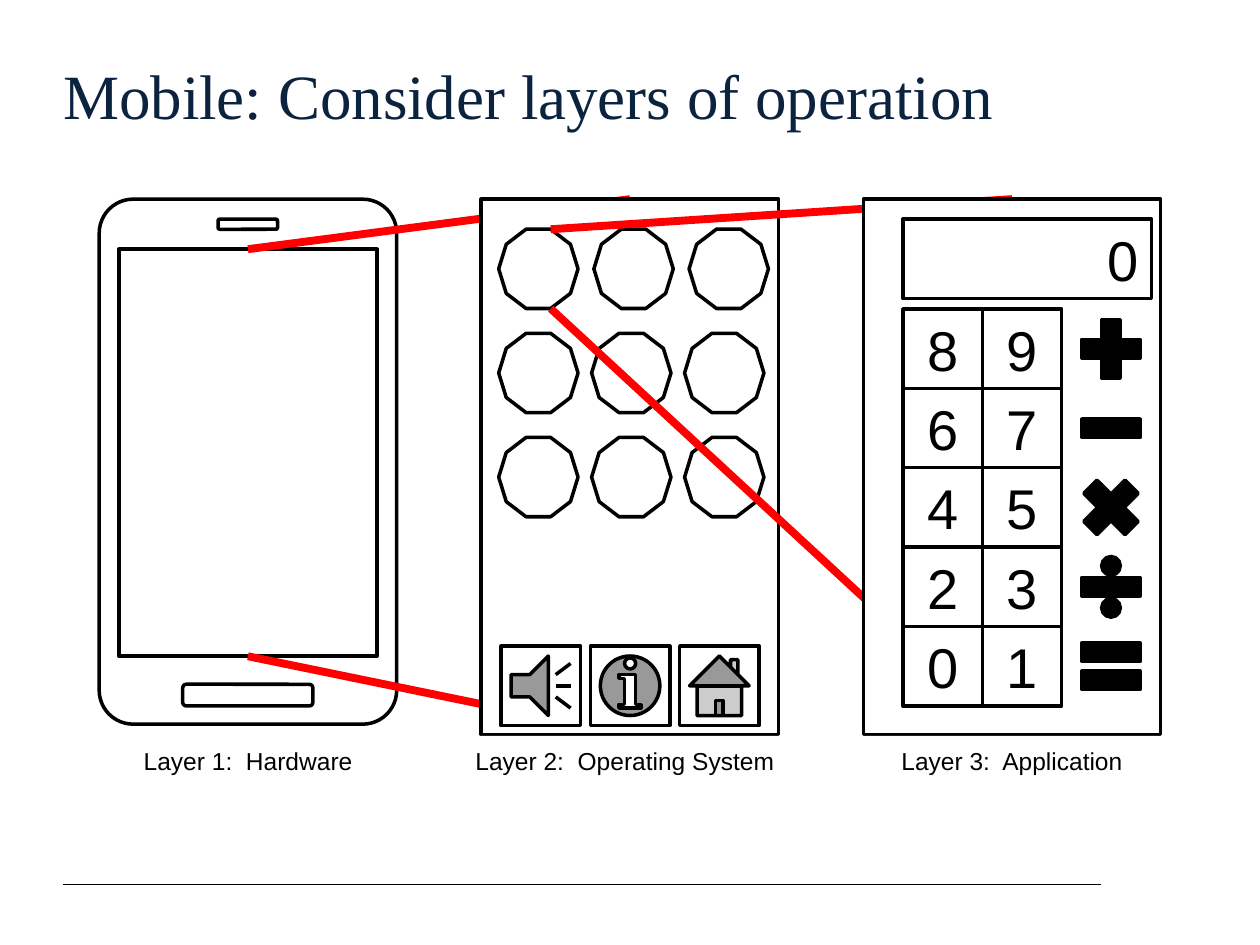
from lxml.etree import SubElement
from pptx import Presentation
from pptx.dml.color import RGBColor
from pptx.enum.shapes import MSO_CONNECTOR, MSO_SHAPE
from pptx.enum.text import MSO_ANCHOR, MSO_AUTO_SIZE, PP_ALIGN
from pptx.oxml.ns import qn
from pptx.util import Pt

COLORS = {"ink": "000000", "paper": "FFFFFF", "zoom": "FF0000", "title": "0C2340"}
CELL = 45.36  # side of an icon, a key and an operator
PANEL_TOP, PANEL_WIDTH, PANEL_HEIGHT = 113.8, 170, 306
OS_LEFT, APP_LEFT = 275, 493.3
CAPTION_TOP = 420.5


def rgb(name):
    return RGBColor.from_string(COLORS[name])


def add_box(shapes, kind, left, top, width, height, fill="paper", outlined=True):
    box = shapes.add_shape(kind, Pt(left), Pt(top), Pt(width), Pt(height))
    box.shadow.inherit = False
    if fill:
        box.fill.solid()
        box.fill.fore_color.rgb = rgb(fill)
    else:
        box.fill.background()
    if outlined:
        box.line.color.rgb = rgb("ink")
        box.line.width = Pt(2)
    else:
        box.line.fill.background()
    return box


def write(box, text, size, align=PP_ALIGN.CENTER):
    box.text_frame.vertical_anchor = MSO_ANCHOR.MIDDLE
    paragraph = box.text_frame.paragraphs[0]
    paragraph.text = text
    paragraph.alignment = align
    paragraph.font.name = "Arial"
    paragraph.font.size = Pt(size)
    paragraph.font.color.rgb = rgb("ink")


def add_caption(shapes, left, text):
    caption = add_box(shapes, MSO_SHAPE.RECTANGLE, left, CAPTION_TOP, 193, 28,
                      outlined=False)
    write(caption, text, 14)


def add_line(shapes, start, end, color, weight):
    line = shapes.add_connector(MSO_CONNECTOR.STRAIGHT, *map(Pt, start + end))
    line.line.color.rgb = rgb(color)
    line.line.width = Pt(weight)
    SubElement(line._element.spPr, qn("a:effectLst"))
    return line


def add_zoom_lines(shapes, x, top, bottom, panel_left):
    """Red lines from a source area to the top and bottom of a panel."""
    panel_center = panel_left + PANEL_WIDTH / 2
    panel_bottom = PANEL_TOP + PANEL_HEIGHT
    return [add_line(shapes, (x, y), (panel_center, panel_y), "zoom", 4.5)
            for y, panel_y in ((top, PANEL_TOP), (bottom, panel_bottom))]


def join_to_panel(zoom_lines, panel):
    for line, side in zip(zoom_lines, (0, 2)):
        line.end_connect(panel, side)


def add_panel(shapes, left):
    return add_box(shapes, MSO_SHAPE.RECTANGLE, left, PANEL_TOP,
                   PANEL_WIDTH, PANEL_HEIGHT)


def add_title(slide, text):
    title = slide.shapes.title
    title.left, title.top, title.width, title.height = map(Pt, (36, 32.4, 573, 67))
    frame = title.text_frame
    frame.auto_size = MSO_AUTO_SIZE.NONE
    frame.vertical_anchor = MSO_ANCHOR.TOP
    frame.margin_left = frame.margin_top = 0
    paragraph = frame.paragraphs[0]
    paragraph.text = text
    paragraph.alignment = PP_ALIGN.LEFT
    paragraph.font.name = "Times New Roman"
    paragraph.font.size = Pt(36)
    paragraph.font.color.rgb = rgb("title")


def add_hardware(shapes):
    rounded = MSO_SHAPE.ROUNDED_RECTANGLE
    body = add_box(shapes, rounded, 56.7, PANEL_TOP, PANEL_WIDTH, 300, fill=None)
    body.adjustments[0] = 0.114
    screen = add_box(shapes, MSO_SHAPE.RECTANGLE, 67.9, 142.4, 147.6, 232.6)
    add_box(shapes, rounded, 124.6, 125.2, 34, 5.8)  # speaker
    add_box(shapes, rounded, 104.4, 391, 74.4, 12.4)  # button
    add_caption(shapes, 45.3, "Layer 1:  Hardware")
    return screen


def add_operating_system(shapes):
    panel = add_panel(shapes, OS_LEFT)

    # App icons, the first row spaced a little wider
    for row, pitch in enumerate((54.4, 53.1, 53.1)):
        for column in range(3):
            add_box(shapes, MSO_SHAPE.DECAGON, 285 + column * pitch,
                    131 + row * 59.5, CELL, CELL)

    # System buttons
    buttons = (MSO_SHAPE.ACTION_BUTTON_SOUND, MSO_SHAPE.ACTION_BUTTON_INFORMATION,
               MSO_SHAPE.ACTION_BUTTON_HOME)
    for column, button in enumerate(buttons):
        add_box(shapes, button, 286.4 + column * 51, 369.2, CELL, CELL)

    add_caption(shapes, 260.6, "Layer 2:  Operating System")
    return panel


def add_application(shapes):
    panel = add_panel(shapes, APP_LEFT)
    keys_left, keys_top = 516, 176.6

    # Display
    display = add_box(shapes, MSO_SHAPE.FLOWCHART_PROCESS, keys_left, 125.3, 142, CELL)
    write(display, "0", 32, PP_ALIGN.RIGHT)

    # Number keys with one operator per row
    operators = (MSO_SHAPE.MATH_PLUS, MSO_SHAPE.MATH_MINUS, MSO_SHAPE.MATH_MULTIPLY,
                 MSO_SHAPE.MATH_DIVIDE, MSO_SHAPE.MATH_EQUAL)
    for row, (digits, operator) in enumerate(zip(("89", "67", "45", "23", "01"),
                                                 operators)):
        top = keys_top + row * CELL
        for column, digit in enumerate(digits):
            key = add_box(shapes, MSO_SHAPE.FLOWCHART_PROCESS,
                          keys_left + column * CELL, top, CELL, CELL)
            write(key, digit, 32)
        add_box(shapes, operator, 612.2, top, CELL, CELL, fill="ink")

    add_caption(shapes, 481.8, "Layer 3:  Application")
    return panel


def main():
    deck = Presentation()
    deck.slide_width, deck.slide_height = Pt(720), Pt(540)
    slide = deck.slides.add_slide(deck.slide_layouts[5])
    shapes = slide.shapes

    add_title(slide, "Mobile: Consider layers of operation")
    add_line(shapes, (36, 505.4), (629, 505.4), "ink", 0.75)  # footer rule

    # Layer 1, with its screen enlarged into layer 2
    screen = add_hardware(shapes)
    screen_zoom = add_zoom_lines(shapes, 141.7, 142.4, 375, OS_LEFT)
    for line, side in zip(screen_zoom, (0, 2)):
        line.begin_connect(screen, side)
    os_panel = add_operating_system(shapes.add_group_shape().shapes)
    join_to_panel(screen_zoom, os_panel)

    # Layer 3, enlarged from the first app icon
    icon_zoom = add_zoom_lines(shapes, 314.7, 131, 131 + CELL, APP_LEFT)
    app_panel = add_application(shapes.add_group_shape().shapes)
    join_to_panel(icon_zoom, app_panel)

    deck.save("out.pptx")


if __name__ == "__main__":
    main()
